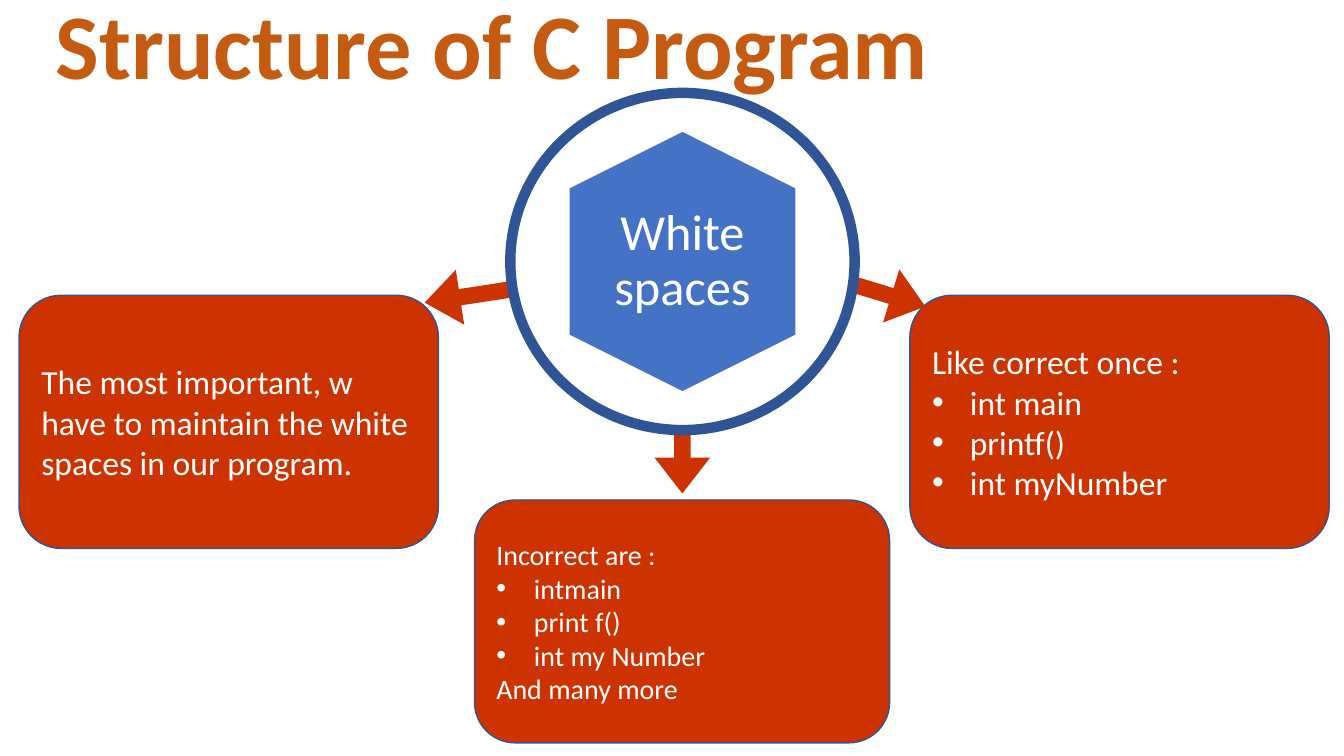
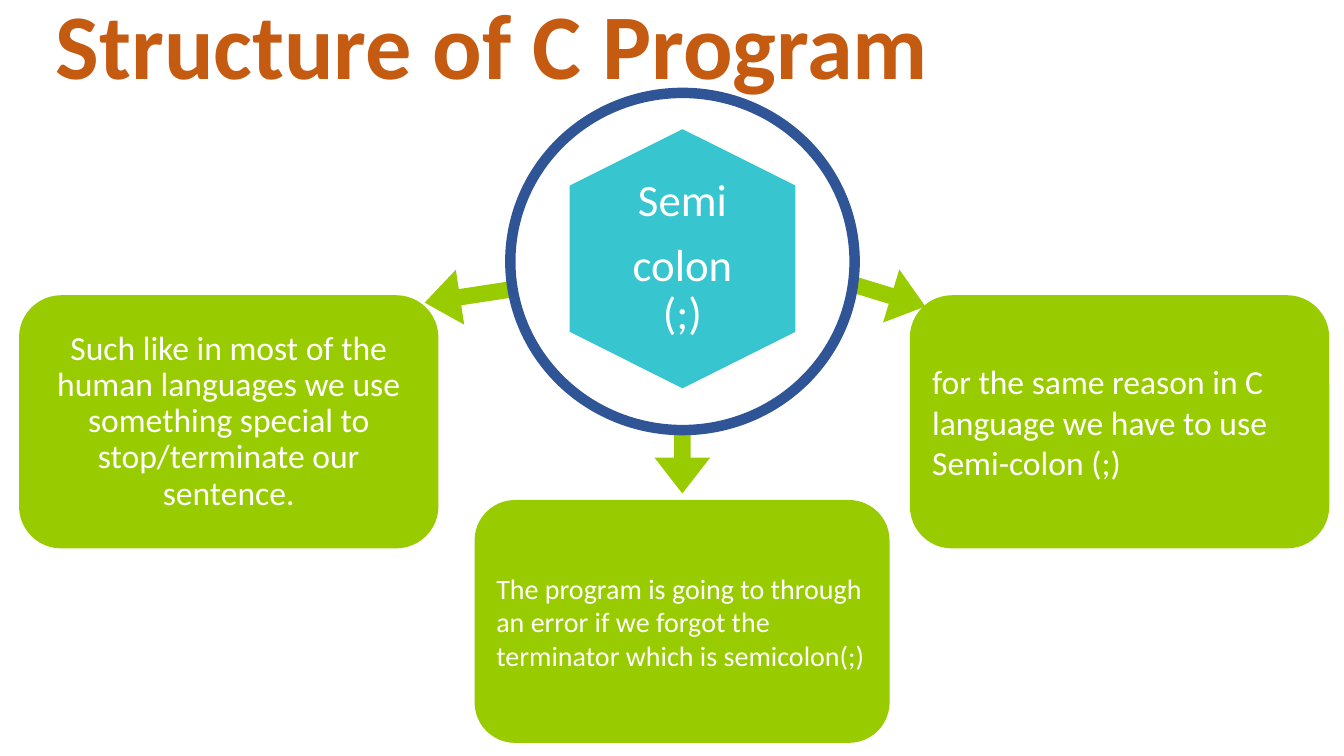
from dataclasses import dataclass

from lxml import etree
from pptx import Presentation
from pptx.dml.color import RGBColor
from pptx.enum.shapes import MSO_SHAPE
from pptx.enum.text import MSO_ANCHOR, MSO_AUTO_SIZE, PP_ALIGN
from pptx.oxml.ns import qn
from pptx.util import Cm, Pt

LEFT, CENTER = PP_ALIGN.LEFT, PP_ALIGN.CENTER
MIDDLE, BOTTOM = MSO_ANCHOR.MIDDLE, MSO_ANCHOR.BOTTOM
NO_AUTOFIT = MSO_AUTO_SIZE.NONE
CARD, ARROW = MSO_SHAPE.ROUNDED_RECTANGLE, MSO_SHAPE.RIGHT_ARROW
RING, HEXAGON = MSO_SHAPE.DONUT, MSO_SHAPE.HEXAGON
TITLE_ONLY = 5


@dataclass(frozen=True)
class Theme:
    font: str = "Calibri"
    title: str = "C55A11"
    text: str = "FFFFFF"
    ring: str = "2F5597"
    outline: str = "325491"
    red: str = "CC3300"
    green: str = "99CC00"
    blue: str = "4472C4"
    teal: str = "37C6CF"
    title_size: int = 66
    hub_size: int = 36
    hub_small_size: int = 32
    card_size: int = 24
    card_small_size: int = 20


THEME = Theme()


@dataclass(frozen=True)
class Box:
    left: float
    top: float
    width: float
    height: float

    def inner(self, left, top, width, height):
        return Box(self.left + left, self.top + top, width, height)

    def centered(self, width, height, rise=0):
        return self.inner((self.width - width) / 2,
                          (self.height - height) / 2 - rise, width, height)

    def lengths(self):
        return Cm(self.left), Cm(self.top), Cm(self.width), Cm(self.height)


class Bullet(str):
    pass


@dataclass(frozen=True)
class Card:
    lines: tuple
    size: int = THEME.card_size
    align: int = LEFT
    spacing: float = 1.0


@dataclass(frozen=True)
class Hub:
    lines: tuple
    fill: str
    size: int
    rise: float = 0
    inset: float = 0


@dataclass(frozen=True)
class Topic:
    hub: Hub
    accent: str
    outline: str
    left_card: Card
    right_card: Card
    lower_card: Card


TITLE_BOX = Box(0, 0, 24.82, 2.64)
DIAGRAM_BOX = Box(0.48, 2.21, 33.02, 16.51)

TOPICS = (
    Topic(
        Hub(("White spaces",), THEME.blue, THEME.hub_size),
        THEME.red, THEME.outline,
        Card(("The most important, w have to maintain the white spaces in our program.",)),
        Card(("Like correct once :", Bullet("int main"), Bullet("printf()"),
              Bullet("int myNumber"))),
        Card(("Incorrect are :", Bullet("intmain"), Bullet("print f()"),
              Bullet("int my Number"), "And many more"), THEME.card_small_size),
    ),
    Topic(
        Hub(("Semi", "colon (;)"), THEME.teal, THEME.hub_small_size, 0.07, 0.33),
        THEME.green, "",
        Card(("Such like in most of the human languages we use something special "
              "to stop/terminate our sentence.",), align=CENTER, spacing=0.9),
        Card(("for the same reason in C language we have to use Semi-colon (;)",)),
        Card(("The program is going to through an error if we forgot the terminator "
              "which is semicolon(;)",), THEME.card_small_size),
    ),
)


def add_bullet(paragraph):
    properties = paragraph._p.get_or_add_pPr()
    properties.set("marL", str(Cm(0.95)))
    properties.set("indent", str(-Cm(0.95)))
    etree.SubElement(properties, qn("a:buFont"), typeface="Arial")
    etree.SubElement(properties, qn("a:buChar"), char="•")


def write_text(frame, lines, *, size, color=THEME.text, bold=False, align=LEFT,
               anchor=MIDDLE, spacing=1.0, after=0, inset=None):
    frame.word_wrap = True
    frame.auto_size = NO_AUTOFIT
    frame.vertical_anchor = anchor
    if inset is not None:
        frame.margin_left = frame.margin_right = Cm(inset)
        frame.margin_top = frame.margin_bottom = Cm(inset)
    for index, line in enumerate(lines):
        paragraph = frame.add_paragraph() if index else frame.paragraphs[0]
        paragraph.alignment = align
        paragraph.line_spacing = spacing
        paragraph.space_before = Pt(0)
        paragraph.space_after = Pt(after)
        if isinstance(line, Bullet):
            add_bullet(paragraph)
        run = paragraph.add_run()
        run.text = line
        run.font.name = THEME.font
        run.font.size = Pt(size)
        run.font.bold = bold
        run.font.color.rgb = RGBColor.from_string(color)


def add_filled(slide, preset, box, fill, outline="", rotation=0, adjustments=()):
    shape = slide.shapes.add_shape(preset, *box.lengths())
    shape.shadow.inherit = False
    shape.rotation = rotation
    shape.fill.solid()
    shape.fill.fore_color.rgb = RGBColor.from_string(fill)
    if outline:
        shape.line.color.rgb = RGBColor.from_string(outline)
        shape.line.width = Pt(1)
    else:
        shape.line.fill.background()
    for index, value in enumerate(adjustments):
        shape.adjustments[index] = value
    return shape


def add_title(slide, box, text):
    title = slide.shapes.title
    title.left, title.top, title.width, title.height = box.lengths()
    write_text(title.text_frame, (text,), size=THEME.title_size, color=THEME.title,
               bold=True, align=CENTER, anchor=BOTTOM, spacing=0.9)


def add_card(slide, box, card, topic):
    panel = add_filled(slide, CARD, box, topic.accent, topic.outline)
    write_text(panel.text_frame, card.lines, size=card.size, align=card.align,
               spacing=card.spacing, after=card.size * 0.35 if card.spacing < 1 else 0)


def add_hub(slide, box, hub):
    add_filled(slide, RING, box, THEME.ring, adjustments=(0.03,))
    add_filled(slide, HEXAGON, box.centered(6.53, 5.69, hub.rise), hub.fill, rotation=90)
    label = slide.shapes.add_textbox(*box.centered(3.91, 4.5, hub.rise).lengths())
    write_text(label.text_frame, hub.lines, size=hub.size, align=CENTER,
               spacing=0.9, after=hub.size * 0.35, inset=hub.inset)


def add_diagram(slide, box, topic):
    side_width, side_height = 10.57, 6.38
    lower_width, lower_height = 10.46, 6.12
    side_top = 5.23
    arrow_top, arrow_height = 4.55, 1.4
    spokes = (
        (topic.left_card, box.inner(0, side_top, side_width, side_height),
         box.inner(10.21, arrow_top, 2.18, arrow_height), 171.3),
        (topic.right_card,
         box.inner(box.width - side_width, side_top, side_width, side_height),
         box.inner(21.08, arrow_top, 1.8, arrow_height), 17),
        (topic.lower_card,
         box.inner(11.48, box.height - lower_height, lower_width, lower_height),
         box.inner(15.9, 8.71, 1.63, arrow_height), 90),
    )
    for card, card_box, arrow_box, angle in spokes:
        add_card(slide, card_box, card, topic)
        add_filled(slide, ARROW, arrow_box, topic.accent, rotation=angle,
                   adjustments=(0.295, 0.643))
    add_hub(slide, box.inner(12.25, 0, 8.94, 8.76), topic.hub)


def main():
    deck = Presentation()
    deck.slide_width, deck.slide_height = Cm(33.87), Cm(19.05)
    for topic in TOPICS:
        slide = deck.slides.add_slide(deck.slide_layouts[TITLE_ONLY])
        add_title(slide, TITLE_BOX, "Structure of C Program")
        add_diagram(slide, DIAGRAM_BOX, topic)
    deck.save("out.pptx")


if __name__ == "__main__":
    main()
